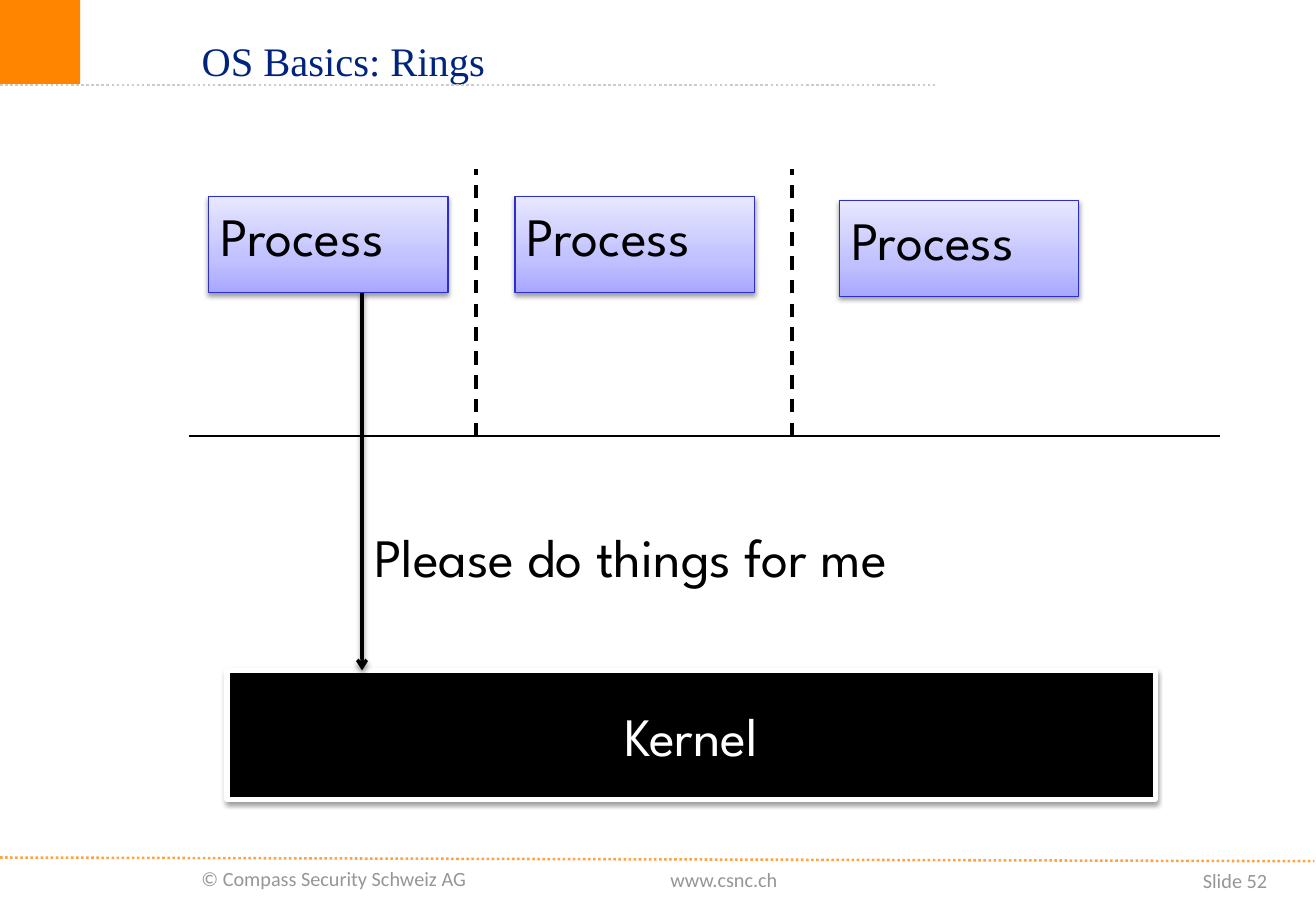
from dataclasses import dataclass

from lxml import etree
from pptx import Presentation
from pptx import util as u
from pptx.dml.color import RGBColor
from pptx.enum import dml, shapes, text
from pptx.oxml import parse_xml
from pptx.oxml.ns import nsdecls, qn

# Content: places are left, top, width, height in points
TITLE = ("OS Basics: Rings", (112.3, 0, 436.3, 72))
FOOTERS = [
    ("© Compass Security Schweiz AG", (112.3, 509.8, 191.5, 21.6), "left"),
    ("www.csnc.ch", (390.2, 510.5, 82.8, 21.6), "left"),
    ("Slide 52", (668.2, 511.2, 90, 24.5), "right"),
]
PROCESSES = [("Process", 123.8, 116.6), ("Process", 305.3, 116.6), ("Process", 497.5, 118.8)]
PROCESS_SIZE = (141.8, 56.9)
KERNEL = ("Kernel", (134.6, 397.4, 550.1, 76.3))
CALL = ("Please do things for me", (214.6, 306.7, 353.5, 46.1))
CALL_X = 214.6
RING_BORDER = (112.3, 723.3, 258.5)
PROCESS_BORDERS = [282.2, 469.4]
BORDER_TOP = 100.1


@dataclass(frozen=True)
class Theme:
    orange: str = "FF8400"
    navy: str = "00247D"
    grey: str = "969696"
    rule: str = "CBCBCB"
    black: str = "000000"
    white: str = "FFFFFF"
    process_line: str = "2E2ECB"
    process_stops: tuple = ((0, "A7A7FF"), (35, "C1C1FF"), (100, "E7E7FF"))
    title_font: str = "Times New Roman"
    body_font: str = "League Spartan"
    footer_font: str = "Calibri"
    title_size: int = 24
    body_size: int = 32
    footer_size: int = 12


THEME = Theme()
ALIGN = {"left": text.PP_ALIGN.LEFT, "center": text.PP_ALIGN.CENTER, "right": text.PP_ALIGN.RIGHT}


def points(*values):
    return [u.Pt(value) for value in values]


def write(shape, words, font, size, color, align="left", anchor=text.MSO_ANCHOR.TOP, wrap=True):
    frame = shape.text_frame
    frame.text = words
    frame.word_wrap = wrap
    frame.auto_size = text.MSO_AUTO_SIZE.NONE
    frame.vertical_anchor = anchor
    paragraph = frame.paragraphs[0]
    paragraph.alignment = ALIGN[align]
    run_font = paragraph.runs[0].font
    run_font.name, run_font.size = font, u.Pt(size)
    run_font.color.rgb = RGBColor.from_string(color)


def add_shadow(shape):
    properties = shape._element.spPr
    for effects in properties.findall(qn("a:effectLst")):
        properties.remove(effects)
    properties.append(parse_xml(
        f'<a:effectLst {nsdecls("a")}><a:outerShdw blurRad="{u.Pt(3.1)}" dist="{u.Pt(1.6)}" '
        f'dir="5400000" rotWithShape="0"><a:srgbClr val="{THEME.black}">'
        '<a:alpha val="38000"/></a:srgbClr></a:outerShdw></a:effectLst>'))


def add_box(slide, place, fill, line=None, width=0.75):
    box = slide.shapes.add_shape(shapes.MSO_SHAPE.RECTANGLE, *points(*place))
    box.shadow.inherit = False
    box.fill.solid()
    box.fill.fore_color.rgb = RGBColor.from_string(fill)
    if line:
        box.line.color.rgb = RGBColor.from_string(line)
        box.line.width = u.Pt(width)
    else:
        box.line.fill.background()
    return box


def add_gradient(box):
    stops = "".join(f'<a:gs pos="{position * 1000}"><a:srgbClr val="{color}"/></a:gs>'
                    for position, color in THEME.process_stops)
    solid = box._element.spPr.find(qn("a:solidFill"))
    solid.getparent().replace(solid, parse_xml(
        f'<a:gradFill {nsdecls("a")} rotWithShape="1"><a:gsLst>{stops}</a:gsLst>'
        '<a:lin ang="16200000" scaled="0"/></a:gradFill>'))


def add_line(slide, ends, color, width, dash=None):
    line = slide.shapes.add_connector(shapes.MSO_CONNECTOR.STRAIGHT, *points(*ends))
    line.line.color.rgb = RGBColor.from_string(color)
    line.line.width = u.Pt(width)
    if dash:
        line.line.dash_style = dash
    etree.SubElement(line._element.spPr, qn("a:effectLst"))
    return line


def main():
    presentation = Presentation()
    presentation.slide_width, presentation.slide_height = points(780, 540)
    slide = presentation.slides.add_slide(presentation.slide_layouts[5])
    dots = dml.MSO_LINE.ROUND_DOT

    # Frame: corner block, rules and footer
    add_box(slide, (0, 0, 47.5, 49.7), THEME.orange)
    footer_rule = add_line(slide, (0, 508.3, 779, 510.5), THEME.orange, 1.5, dots)
    color = footer_rule._element.spPr.find(".//" + qn("a:srgbClr"))
    etree.SubElement(color, qn("a:alpha")).set("val", "75000")
    add_line(slide, (0, 50.4, 555.1, 50.4), THEME.rule, 1.5, dots)
    for words, place, align in FOOTERS:
        footer = slide.shapes.add_textbox(*points(*place))
        write(footer, words, THEME.footer_font, THEME.footer_size, THEME.grey, align, wrap=False)

    # Title
    title = slide.shapes.title
    title.left, title.top, title.width, title.height = points(*TITLE[1])
    write(title, TITLE[0], THEME.title_font, THEME.title_size, THEME.navy,
          anchor=text.MSO_ANCHOR.MIDDLE)

    # Processes
    for words, left, top in PROCESSES:
        process = add_box(slide, (left, top, *PROCESS_SIZE), THEME.black, THEME.process_line)
        add_gradient(process)
        add_shadow(process)
        write(process, words, THEME.body_font, THEME.body_size, THEME.black)

    # Border between the rings, and the kernel
    left, right, border_y = RING_BORDER
    add_line(slide, (left, border_y, right, border_y), THEME.black, 0.75)
    kernel = add_box(slide, KERNEL[1], THEME.black, THEME.white, 3)
    add_shadow(kernel)
    write(kernel, KERNEL[0], THEME.body_font, THEME.body_size, THEME.white, "center",
          text.MSO_ANCHOR.MIDDLE)

    # Call from the first process down to the kernel
    call_top = PROCESSES[0][2] + PROCESS_SIZE[1]
    arrow = add_line(slide, (CALL_X, call_top, CALL_X, KERNEL[1][1]), THEME.black, 2)
    etree.SubElement(arrow.line._get_or_add_ln(), qn("a:tailEnd")).set("type", "arrow")
    add_shadow(arrow)
    call = slide.shapes.add_textbox(*points(*CALL[1]))
    write(call, CALL[0], THEME.body_font, THEME.body_size, THEME.black, wrap=False)

    # Borders between processes
    for x in PROCESS_BORDERS:
        add_line(slide, (x, border_y, x, BORDER_TOP), THEME.black, 0, dml.MSO_LINE.DASH)

    presentation.save("out.pptx")


if __name__ == "__main__":
    main()
